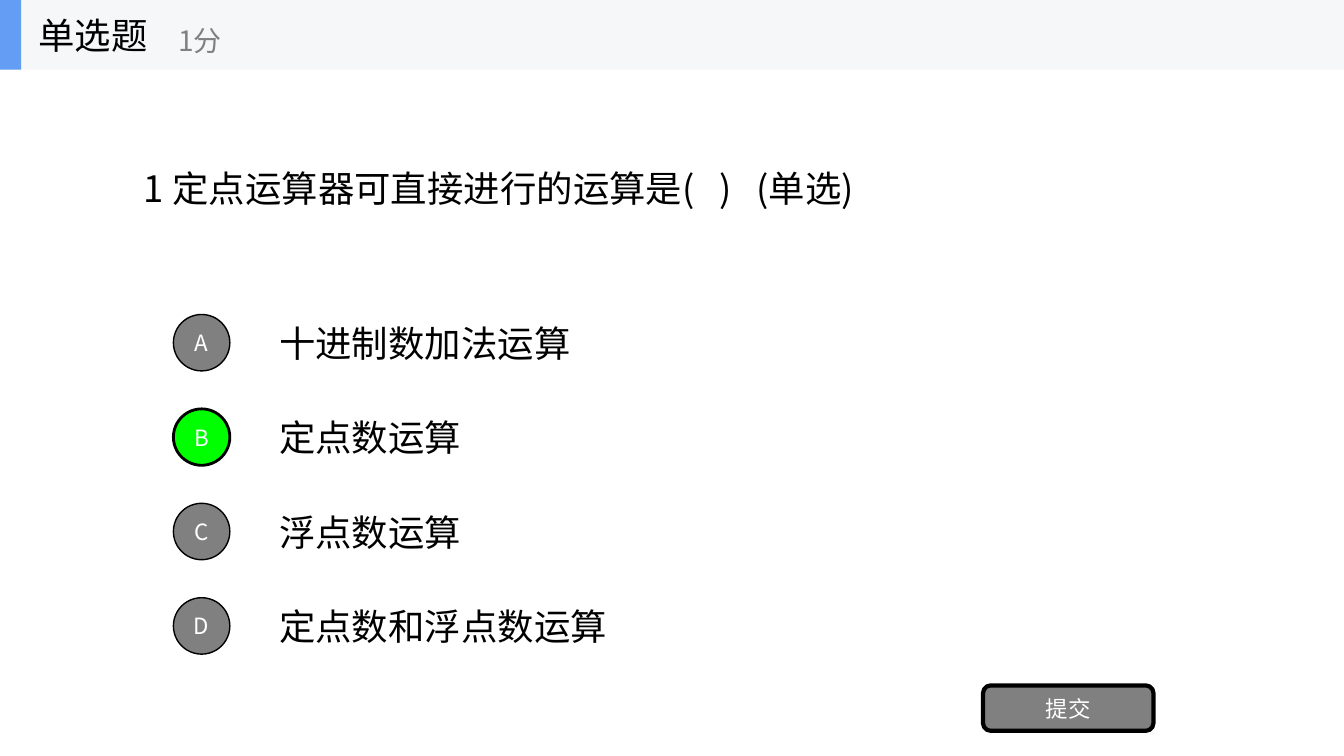
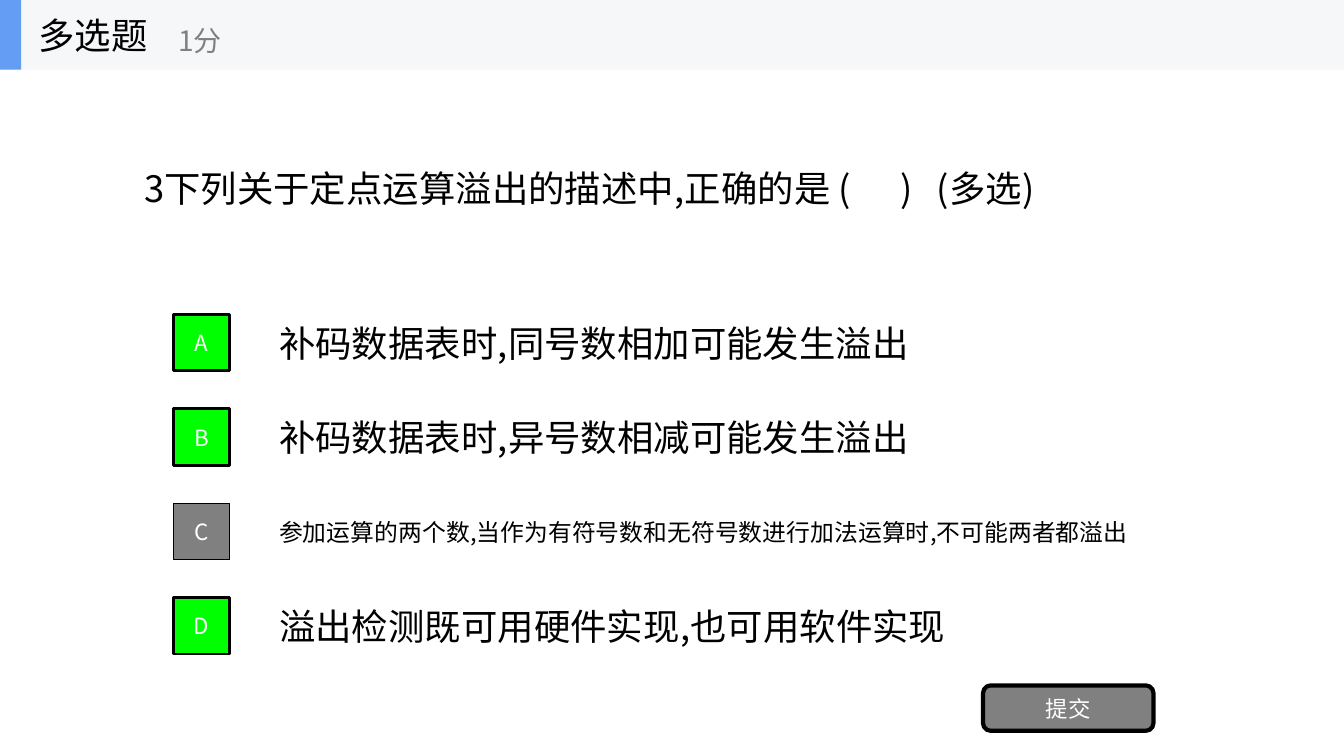
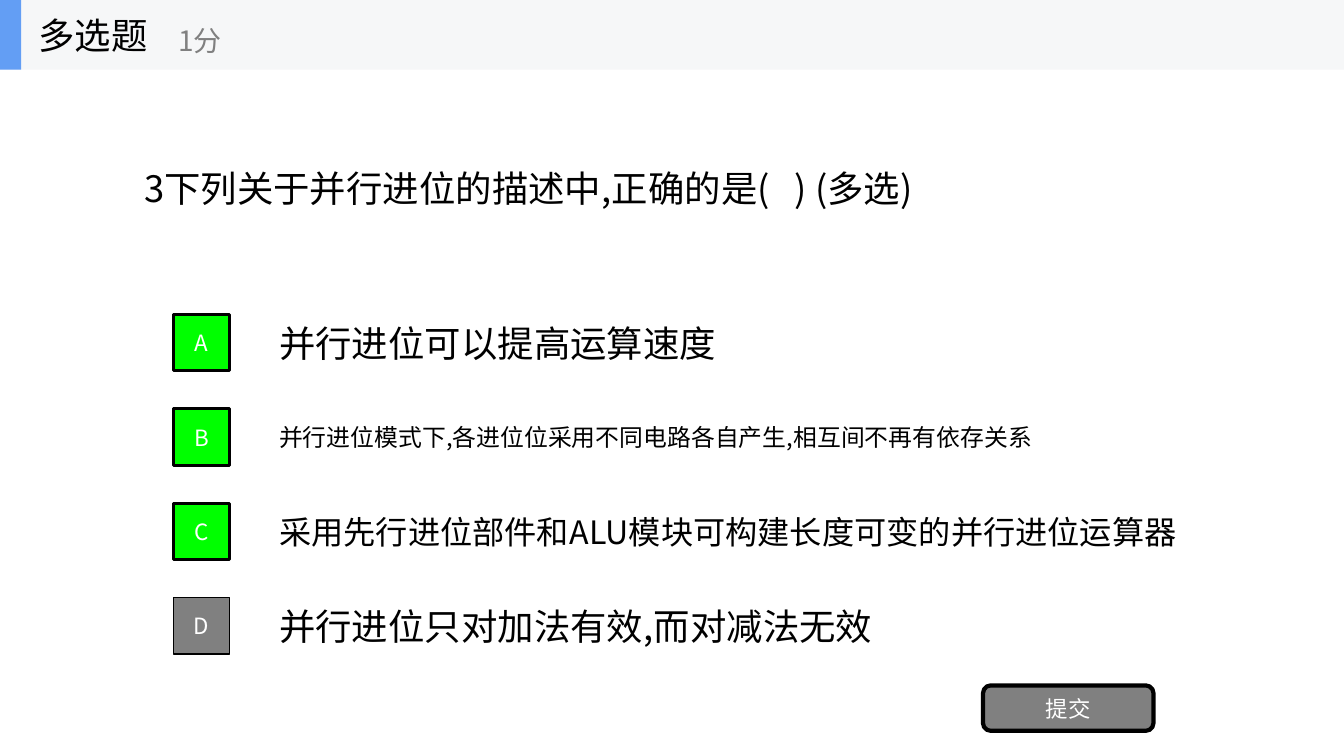
from pptx import Presentation, util as u
from pptx.dml.color import RGBColor
from pptx.enum import shapes, text
from pptx.oxml.ns import qn
from lxml import etree

COLORS = {"ink": "000000", "paper": "FFFFFF", "gray": "808080",
          "right": "00FF00", "band": "F6F7F8", "mark": "639EF4"}
FONT = "Noto Sans CJK SC"
KIND = shapes.MSO_SHAPE
ALIGN = text.PP_ALIGN
FIT = text.MSO_AUTO_SIZE


def color(name):
    return RGBColor.from_string(COLORS[name])


class Quiz:
    """Holds the deck style and the current slide."""
    ROW_TOP, ROW_END, ROWS = 3.12, 5.93, 4
    DOT = 0.56
    BAND = 0.69

    def __init__(self):
        self.deck = Presentation()
        self.deck.slide_width = u.Inches(13.33)
        self.deck.slide_height = u.Inches(7.5)

    def start(self):
        self.slide = self.deck.slides.add_slide(self.deck.slide_layouts[5])

    def letter(self, shape, words, size, ink="ink", align=ALIGN.LEFT,
               fit=FIT.NONE):
        frame = shape.text_frame
        form = {"word_wrap": True, "auto_size": fit,
                "vertical_anchor": text.MSO_ANCHOR.MIDDLE}
        for key, value in form.items():
            setattr(frame, key, value)
        para = frame.paragraphs[0]
        para.alignment = align
        run = para.add_run()
        run.text = words
        for key, value in {"size": u.Pt(size), "name": FONT}.items():
            setattr(run.font, key, value)
        run.font.color.rgb = color(ink)
        # East Asian typeface follows the Latin one
        east = etree.SubElement(run._r.get_or_add_rPr(), qn("a:ea"))
        east.set("typeface", FONT)

    def label(self, words, left, top, width, height, size, **style):
        box = self.slide.shapes.add_textbox(
            *map(u.Inches, (left, top, width, height)))
        self.letter(box, words, size, **style)

    def block(self, kind, left, top, width, height, fill, line=0, words=""):
        shape = self.slide.shapes.add_shape(
            kind, *map(u.Inches, (left, top, width, height)))
        shape.shadow.inherit = False
        shape.fill.solid()
        shape.fill.fore_color.rgb = color(fill)
        if line:
            shape.line.color.rgb = color("ink")
            shape.line.width = u.Pt(line)
        else:
            shape.line.fill.background()
        if words:
            self.letter(shape, words, 16, "paper", ALIGN.CENTER)

    def header(self, name, score):
        self.block(KIND.RECTANGLE, 0, 0, 13.33, self.BAND, "band")
        self.block(KIND.RECTANGLE, 0, 0, 0.21, self.BAND, "mark")
        title = self.slide.shapes.title
        place = {"left": 0.28, "top": 0, "width": 2.08, "height": self.BAND}
        for key, value in place.items():
            setattr(title, key, u.Inches(value))
        self.letter(title, name, 26)
        # Raise the title above the band
        self.slide.shapes._spTree.append(title._element)
        self.label(score, 1.67, 0.12, 2.5, 0.56, 20, ink="gray")

    def ask(self, words, width):
        self.label(words, 1.33, 1.6, width, 0.53, 26,
                   fit=FIT.SHAPE_TO_FIT_TEXT)

    def option(self, row, kind, right, words, width, size):
        step = (self.ROW_END - self.ROW_TOP) / (self.ROWS - 1)
        top = self.ROW_TOP + row * step
        height = 0.1 + size / 60
        self.label(words, 2.67, top + (self.DOT - height) / 2, width, height,
                   size, fit=FIT.SHAPE_TO_FIT_TEXT)
        fill, line = ("right", 2) if right else ("gray", 1)
        self.block(kind, 1.72, top, self.DOT, self.DOT, fill, line,
                   "ABCD"[row])

    def submit(self):
        self.block(KIND.ROUNDED_RECTANGLE, 9.75, 6.8, 1.69, 0.45, "gray", 3,
                   "提交")


# Type, marker, question, its width, right answers, options (text, width, size)
ONE = ("单选题", KIND.OVAL)
MANY = ("多选题", KIND.RECTANGLE)
ITEMS = [
    (ONE, "1 定点运算器可直接进行的运算是(   )   (单选)", 7.53, "B", [
        ("十进制数加法运算", 3.2, 26),
        ("定点数运算", 2.11, 26),
        ("浮点数运算", 2.11, 26),
        ("定点数和浮点数运算", 3.56, 26)]),
    (MANY, "3下列关于定点运算溢出的描述中,正确的是 (      )   (多选)", 9.38, "ABD", [
        ("补码数据表时,同号数相加可能发生溢出", 6.53, 26),
        ("补码数据表时,异号数相减可能发生溢出", 6.53, 26),
        ("参加运算的两个数,当作为有符号数和无符号数进行加法运算时,不可能两者都溢出",
         8.65, 17),
        ("溢出检测既可用硬件实现,也可用软件实现", 6.89, 26)]),
    (MANY, "3下列关于并行进位的描述中,正确的是(   ) (多选)", 8.02, "ABC", [
        ("并行进位可以提高运算速度", 4.64, 26),
        ("并行进位模式下,各进位位采用不同电路各自产生,相互间不再有依存关系", 7.7, 17),
        ("采用先行进位部件和ALU模块可构建长度可变的并行进位运算器", 9.21, 23),
        ("并行进位只对加法有效,而对减法无效", 6.17, 26)]),
]


def main():
    quiz = Quiz()
    for (name, kind), words, width, right, options in ITEMS:
        quiz.start()
        quiz.ask(words, width)
        for row, option in enumerate(options):
            quiz.option(row, kind, "ABCD"[row] in right, *option)
        quiz.submit()
        quiz.header(name, "1分")
    quiz.deck.save("out.pptx")


if __name__ == "__main__":
    main()
